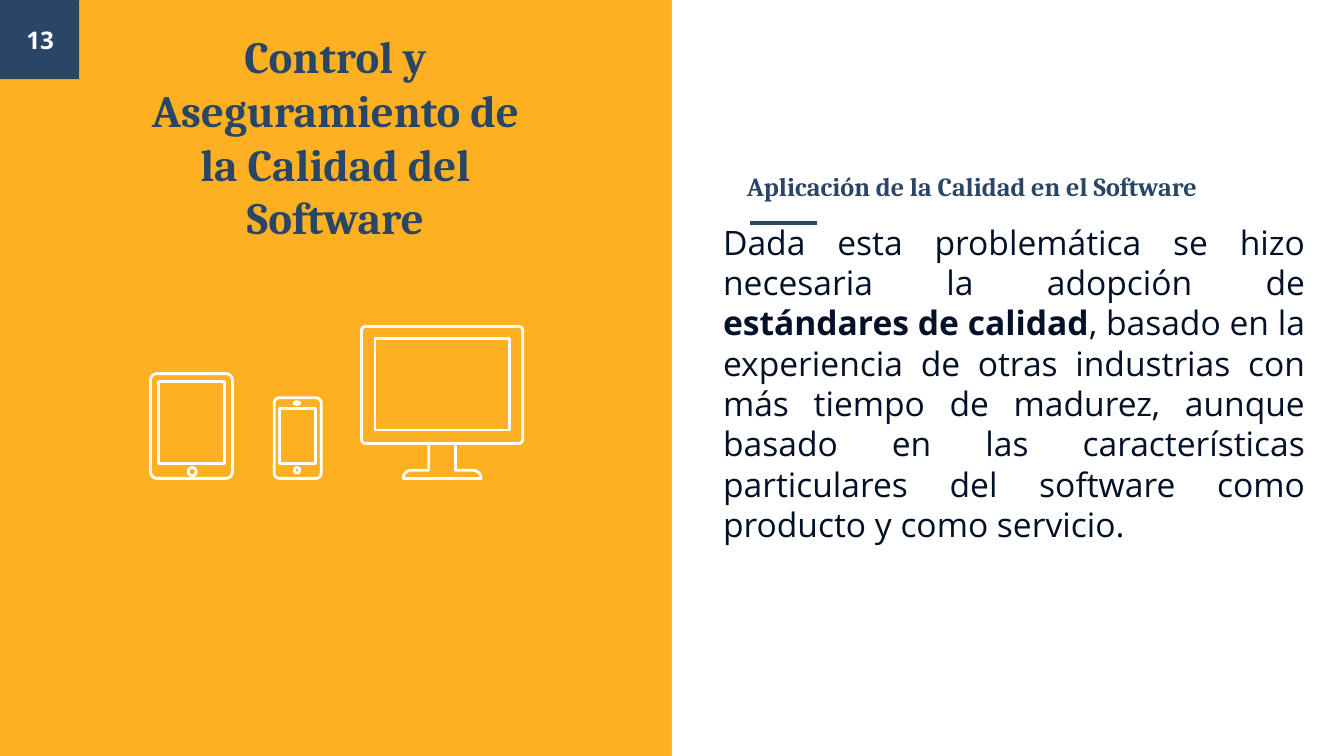
from math import cos, pi, sin

from lxml.etree import SubElement
from pptx import Presentation
from pptx.dml.color import RGBColor
from pptx.enum.shapes import MSO_CONNECTOR, MSO_SHAPE
from pptx.enum.text import MSO_ANCHOR, PP_ALIGN
from pptx.oxml.ns import qn
from pptx.util import Inches, Pt

AMBER = RGBColor(0xFF, 0xA8, 0x00)
GOLD = RGBColor(0xFD, 0xB0, 0x21)
NAVY = RGBColor(0x29, 0x46, 0x67)
INK = RGBColor(0x02, 0x10, 0x28)
WHITE = RGBColor(0xFF, 0xFF, 0xFF)
WIDTH = 10
HEIGHT = WIDTH * 9 / 16
BADGE = 0.59


def add_panel(page, left, top, width, height, color, opacity=100):
    """Add a plain filled rectangle."""
    panel = page.shapes.add_shape(
        MSO_SHAPE.RECTANGLE, Inches(left), Inches(top), Inches(width), Inches(height))
    panel.shadow.inherit = False
    panel.fill.solid()
    panel.fill.fore_color.rgb = color
    panel.line.fill.background()
    if opacity < 100:
        tint = panel._element.spPr.find(qn("a:solidFill"))[0]
        SubElement(tint, qn("a:alpha"), val=str(opacity * 1000))


def add_rule(page, left, right, height):
    """Add the short horizontal rule under the heading."""
    rule = page.shapes.add_connector(
        MSO_CONNECTOR.STRAIGHT, Inches(left), Inches(height), Inches(right), Inches(height))
    rule.line.color.rgb = NAVY
    rule.line.width = Pt(2.25)
    SubElement(rule._element.spPr, qn("a:effectLst"))


def add_text(page, place, spans, font, layout, anchor=MSO_ANCHOR.TOP, indent=0):
    """Add one paragraph built from (text, bold) spans."""
    box = page.shapes.add_textbox(*map(Inches, place))
    margin = Inches(0.1)
    frame_format = {
        "word_wrap": True, "vertical_anchor": anchor,
        "margin_left": margin + Inches(indent), "margin_right": margin,
        "margin_top": margin, "margin_bottom": margin,
    }
    for name, value in frame_format.items():
        setattr(box.text_frame, name, value)
    para = box.text_frame.paragraphs[0]
    for name, value in layout.items():
        setattr(para, name, value)
    typeface, size, color = font
    for text, bold in spans:
        span = para.add_run()
        span.text = text
        span.font.color.rgb = color
        for name, value in {"name": typeface, "size": Pt(size), "bold": bold}.items():
            setattr(span.font, name, value)


def arc(center_x, center_y, radius_x, radius_y, start, steps=6):
    """Return the points of a clockwise quarter turn."""
    angles = [start + pi / 2 * step / steps for step in range(steps + 1)]
    return [(center_x + radius_x * cos(angle), center_y + radius_y * sin(angle))
            for angle in angles]


def rectangle(left, top, width, height):
    """Return the corners of a rectangle."""
    right, bottom = left + width, top + height
    return [(left, top), (right, top), (right, bottom), (left, bottom)]


def rounded(left, top, width, height, radius_x, radius_y):
    """Return the points of a rectangle with elliptical corners."""
    centers = rectangle(left + radius_x, top + radius_y,
                        width - 2 * radius_x, height - 2 * radius_y)
    return [point for turn, (x, y) in enumerate(centers)
            for point in arc(x, y, radius_x, radius_y, pi + turn * pi / 2)]


def oval(center_x, center_y, radius_x, radius_y):
    """Return the points of an ellipse."""
    return rounded(center_x - radius_x, center_y - radius_y,
                   2 * radius_x, 2 * radius_y, radius_x, radius_y)


def add_outline(group, contours, close=True):
    """Add one white outline made of several contours."""
    contours = [[(Inches(x), Inches(y)) for x, y in points] for points in contours]
    builder = group.shapes.build_freeform(*contours[0][0])
    for number, points in enumerate(contours):
        if number:
            builder.move_to(*points[0])
        builder.add_line_segments(points[1:], close=close)
    outline = builder.convert_to_shape()
    outline.shadow.inherit = False
    outline.fill.background()
    outline.line.color.rgb = WHITE
    outline.line.width = Pt(1.5)


def add_devices(page):
    """Add the tablet, phone and monitor icons."""
    group = page.shapes.add_group_shape()
    tablet = [rounded(1.12, 2.78, 0.61, 0.78, 0.05, 0.05),
              oval(1.43, 3.51, 0.03, 0.03),
              rectangle(1.18, 2.84, 0.49, 0.61)]
    phone = [rounded(2.04, 2.96, 0.35, 0.6, 0.04, 0.04),
             oval(2.21, 3, 0.02, 0.01),
             oval(2.21, 3.5, 0.02, 0.02),
             rectangle(2.08, 3.04, 0.27, 0.41)]
    left_foot = arc(3.06, 3.56, 0.06, 0.06, pi)[::-1]
    right_foot = arc(3.52, 3.56, 0.06, 0.06, -pi / 2)[::-1]
    stand = [[(3.19, 3.31), (3.19, 3.5), *left_foot,
              *right_foot, (3.39, 3.5), (3.39, 3.31)]]
    monitor = [rounded(2.69, 2.43, 1.2, 0.87, 0.03, 0.03),
               rectangle(2.79, 2.52, 1, 0.68)]
    add_outline(group, tablet)
    add_outline(group, phone)
    add_outline(group, stand, close=False)
    add_outline(group, monitor)


def main():
    """Build the slide and save it."""
    deck = Presentation()
    deck.slide_width, deck.slide_height = Inches(WIDTH), Inches(HEIGHT)
    page = deck.slides.add_slide(deck.slide_layouts[6])

    add_panel(page, 0, 0, WIDTH / 2, HEIGHT, AMBER, opacity=86)
    add_panel(page, WIDTH / 2, 0, WIDTH / 2, HEIGHT, WHITE)
    add_rule(page, 5.58, 6.08, 1.66)
    add_panel(page, 0, 0, BADGE, BADGE, NAVY)
    add_panel(page, 0, BADGE, 4.99, HEIGHT - BADGE, GOLD)

    centered = {"alignment": PP_ALIGN.CENTER}
    add_text(page, (5.46, 0.76, 4.04, 0.84),
             [("Aplicación de la Calidad en el Software", True)],
             ("Cambria", 14, NAVY), {"alignment": PP_ALIGN.LEFT}, MSO_ANCHOR.BOTTOM)
    add_text(page, (5.16, 1.55, 4.65, 3.98),
             [("Dada esta problemática se hizo necesaria la adopción de ", False),
              ("estándares de calidad", True),
              (", basado en la experiencia de otras industrias con más tiempo de madurez, "
               "aunque basado en las características particulares del software como "
               "producto y como servicio. ", False)],
             ("Open Sans", 18, INK),
             {"alignment": PP_ALIGN.JUSTIFY, "space_before": Pt(6), "line_spacing": 1.0},
             indent=0.12)
    add_devices(page)
    add_text(page, (0, 0, 0.6, BADGE), [("13", True)],
             ("Open Sans", 13, WHITE), centered, MSO_ANCHOR.MIDDLE)
    add_panel(page, BADGE, 0.01, 4.39, 0.7, GOLD)
    add_text(page, (0.9, 0.01, 3.19, 2.01),
             [("Control y Aseguramiento de la Calidad del Software", True)],
             ("Cambria", 24, NAVY), centered, MSO_ANCHOR.MIDDLE)
    deck.save("out.pptx")


if __name__ == "__main__":
    main()
